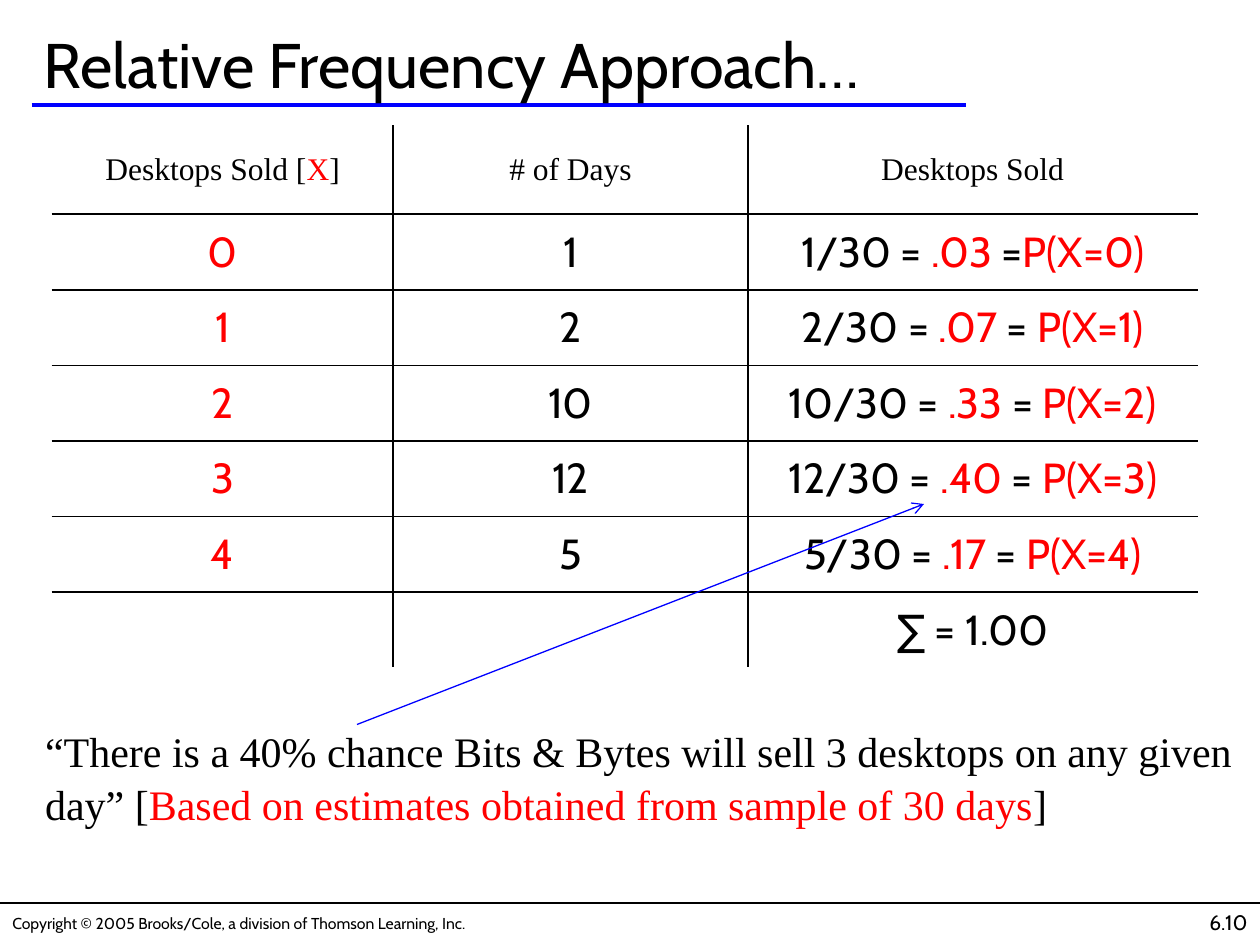
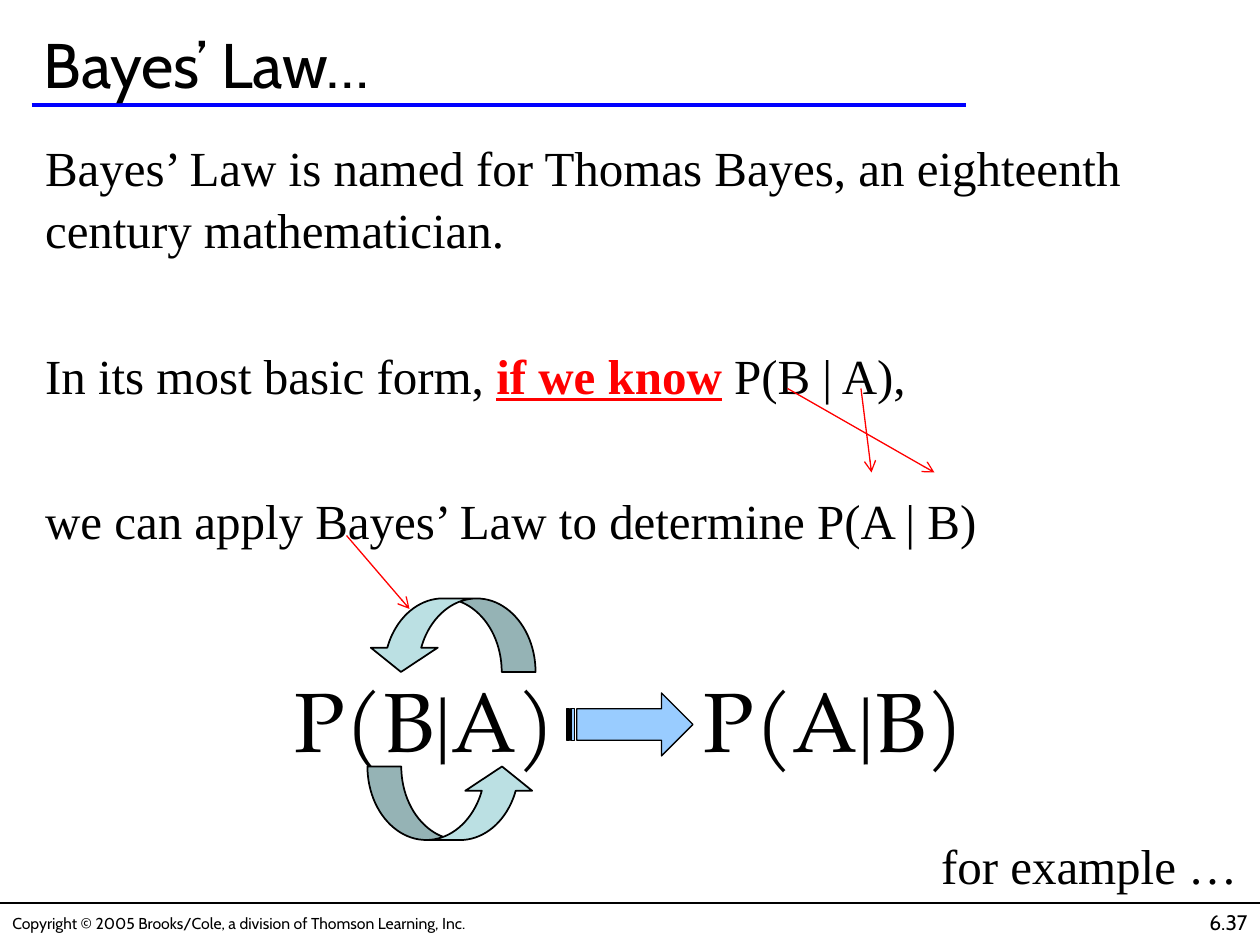
from dataclasses import dataclass

from lxml.etree import SubElement
from pptx import Presentation
from pptx.dml.color import RGBColor
from pptx.enum.shapes import MSO_CONNECTOR, MSO_SHAPE
from pptx.enum.text import MSO_ANCHOR, PP_ALIGN
from pptx.oxml.ns import qn
from pptx.util import Pt


@dataclass(frozen=True)
class Theme:
    black: str = "000000"
    red: str = "FF0000"
    blue: str = "0000FF"
    pale_teal: str = "BBE0E3"
    sky: str = "99CCFF"
    sans: str = "Cabin"
    serif: str = "Times New Roman"
    formula: str = "TeX Gyre Pagella"
    title_size: float = 36
    body_size: float = 28
    note_size: float = 24
    header_size: float = 18
    formula_size: float = 48
    number_size: float = 12
    copyright_size: float = 9


@dataclass(frozen=True)
class Box:
    left: float
    top: float
    width: float
    height: float

    def inside(self, left, top, width, height):
        """Return a box whose place is given relative to this one."""
        return Box(self.left + left, self.top + top, width, height)

    def points(self):
        return [Pt(n) for n in (self.left, self.top, self.width, self.height)]


THEME = Theme()
PAGE = Box(0, 0, 720, 540)
COPYRIGHT = "Copyright © 2005 Brooks/Cole, a division of Thomson Learning, Inc."

# Text between asterisks is set in red
FREQUENCY_HEADER = ["Desktops Sold [*X*]", "# of Days", "Desktops Sold"]
FREQUENCY_ROWS = [
    ["*0*", "1", "1/30 = *.03* =*P(X=0)*"],
    ["*1*", "2", "2/30 = *.07* = *P(X=1)*"],
    ["*2*", "10", "10/30 = *.33* = *P(X=2)*"],
    ["*3*", "12", "12/30 = *.40* = *P(X=3)*"],
    ["*4*", "5", "5/30 = *.17* = *P(X=4)*"],
    ["", "", "∑ = 1.00"],
]


# Text and line helpers

def write_text(frame, *paragraphs, size, font=THEME.sans, align=PP_ALIGN.LEFT,
               gap=0, line_spacing=None, tabs=(), strong=False):
    """Fill a text frame; strong makes the red parts bold and underlined."""
    for index, text in enumerate(paragraphs):
        paragraph = frame.add_paragraph() if index else frame.paragraphs[0]
        paragraph.alignment = align
        if line_spacing:
            paragraph.line_spacing = line_spacing
        if index:
            paragraph.space_before = Pt(gap)
        if tabs:
            tab_list = SubElement(paragraph._p.get_or_add_pPr(), qn("a:tabLst"))
            for position in tabs:
                SubElement(tab_list, qn("a:tab"), pos=str(Pt(position)), algn="l")
        for part, words in enumerate(text.split("*")):
            if not words:
                continue
            is_red = part % 2 == 1
            run = paragraph.add_run()
            run.text = words
            run.font.name = font
            run.font.size = Pt(size)
            run.font.color.rgb = RGBColor.from_string(
                THEME.red if is_red else THEME.black)
            if strong and is_red:
                run.font.bold = run.font.underline = True


def add_text_box(slide, box, *paragraphs, anchor=MSO_ANCHOR.TOP, wrap=True, **style):
    frame = slide.shapes.add_textbox(*box.points()).text_frame
    frame.word_wrap = wrap
    frame.vertical_anchor = anchor
    write_text(frame, *paragraphs, **style)


def add_line(slide, start, end, color, width=0.75, arrow=False):
    connector = slide.shapes.add_connector(
        MSO_CONNECTOR.STRAIGHT, *[Pt(n) for n in (*start, *end)])
    connector.line.color.rgb = RGBColor.from_string(color)
    connector.line.width = Pt(width)
    if arrow:
        SubElement(connector.line._get_or_add_ln(), qn("a:tailEnd"), type="arrow")
    SubElement(connector._element.spPr, qn("a:effectLst"))


def add_block_arrow(slide, kind, box, fill, line_width, rotation=0, adjustments=()):
    shape = slide.shapes.add_shape(kind, *box.points())
    shape.shadow.inherit = False
    shape.rotation = rotation
    for index, value in enumerate(adjustments):
        shape.adjustments[index] = value
    shape.fill.solid()
    shape.fill.fore_color.rgb = RGBColor.from_string(fill)
    shape.line.color.rgb = RGBColor.from_string(THEME.black)
    shape.line.width = Pt(line_width)


# Parts that every slide shares

def add_frame(slide, page, title, number):
    rule_y = page.top + 516
    title_rule_y = page.top + 60
    add_text_box(slide, page.inside(0, 518.4, 344, 18), COPYRIGHT,
                 anchor=MSO_ANCHOR.MIDDLE, size=THEME.copyright_size)
    add_line(slide, (page.left, rule_y), (page.left + page.width, rule_y), THEME.black)
    add_line(slide, (page.left + 18, title_rule_y), (page.left + 552, title_rule_y),
             THEME.blue, width=2.5)
    add_text_box(slide, page.inside(570, 516, 150, 24), number,
                 size=THEME.number_size, align=PP_ALIGN.RIGHT)
    add_text_box(slide, page.inside(18, 12, 690, 48), title,
                 anchor=MSO_ANCHOR.MIDDLE, size=THEME.title_size)


# Frequency table with rules between its cells only

def add_cell_borders(cell, sides):
    properties = cell._tc.get_or_add_tcPr()
    for side in sides:
        border = SubElement(properties, qn(f"a:ln{side}"), w=str(Pt(1.08)))
        fill = SubElement(border, qn("a:solidFill"))
        SubElement(fill, qn("a:srgbClr"), val=THEME.black)


def add_frequency_table(slide, box):
    rows = [FREQUENCY_HEADER, *FREQUENCY_ROWS]
    widths = [194.4, 203.2, 256.4]
    header_height = 50.4
    row_height = (box.height - header_height) / len(FREQUENCY_ROWS)
    table = slide.shapes.add_table(len(rows), len(widths), *box.points()).table
    table.first_row = table.horz_banding = False
    for column, width in zip(table.columns, widths):
        column.width = Pt(width)

    for row_index, texts in enumerate(rows):
        is_header = row_index == 0
        table.rows[row_index].height = Pt(header_height if is_header else row_height)
        for column_index, text in enumerate(texts):
            cell = table.cell(row_index, column_index)
            inner_sides = {
                "L": column_index > 0,
                "R": column_index < len(widths) - 1,
                "T": row_index > 0,
                "B": row_index < len(rows) - 1,
            }
            add_cell_borders(cell, [side for side, inner in inner_sides.items() if inner])
            cell.fill.background()
            cell.vertical_anchor = MSO_ANCHOR.MIDDLE
            write_text(cell.text_frame, text, align=PP_ALIGN.CENTER,
                       font=THEME.serif if is_header else THEME.sans,
                       size=THEME.header_size if is_header else THEME.note_size)


# Formula whose letters swap places

def add_swap_diagram(slide, box):
    add_text_box(slide, box.inside(0, 24, 612, 90), "\tP(B|A)\tP(A|B)",
                 anchor=MSO_ANCHOR.MIDDLE, font=THEME.formula,
                 size=THEME.formula_size, tabs=(107, 341))
    for top, rotation in ((-27, 90), (69, 270)):
        add_block_arrow(slide, MSO_SHAPE.CURVED_RIGHT_ARROW,
                        box.inside(183, top, 42, 96), THEME.pale_teal, 1,
                        rotation=rotation, adjustments=(0.46, 0.91, 0.33))
    add_block_arrow(slide, MSO_SHAPE.STRIPED_RIGHT_ARROW,
                    box.inside(270, 54, 72, 36), THEME.sky, 0.75)


# Slides

def build_frequency_slide(slide, page):
    add_frame(slide, page, "Relative Frequency Approach…", "6.10")
    add_text_box(
        slide, page.inside(18.7, 409.5, 701.3, 96),
        "“There is a 40% chance Bits & Bytes will sell 3 desktops on any given day” "
        "[*Based on estimates obtained from sample of 30 days*]",
        font=THEME.serif, size=THEME.note_size, line_spacing=1.05)
    add_frequency_table(slide, page.inside(30, 72, 654, 309.6))
    add_line(slide, (204, 414), (528, 288), THEME.blue, arrow=True)


def build_bayes_slide(slide, page):
    add_frame(slide, page, "Bayes’ Law…", "6.37")
    add_text_box(
        slide, page.inside(18.7, 73.5, 701.3, 432),
        "Bayes’ Law is named for Thomas Bayes, an eighteenth century mathematician.",
        "In its most basic form, *if we know* P(B | A),",
        "we can apply Bayes’ Law to determine P(A | B)",
        font=THEME.serif, size=THEME.body_size, gap=48, line_spacing=1.05, strong=True)
    add_swap_diagram(slide, page.inside(54, 342, 612, 150))
    add_text_box(slide, page.inside(530.6, 473.8, 183.6, 41), "for example …",
                 anchor=MSO_ANCHOR.MIDDLE, wrap=False, font=THEME.serif,
                 size=THEME.body_size, align=PP_ALIGN.CENTER)
    # Arrows from the law to the swap, and from each letter to its new place
    for start, end in (((198, 306), (234, 348)),
                       ((450, 222), (534, 270)),
                       ((492, 222), (498, 270))):
        add_line(slide, start, end, THEME.red, arrow=True)


def main():
    presentation = Presentation()
    presentation.slide_width = Pt(PAGE.width)
    presentation.slide_height = Pt(PAGE.height)
    blank = presentation.slide_layouts[6]
    for build in (build_frequency_slide, build_bayes_slide):
        build(presentation.slides.add_slide(blank), PAGE)
    presentation.save("out.pptx")


if __name__ == "__main__":
    main()
